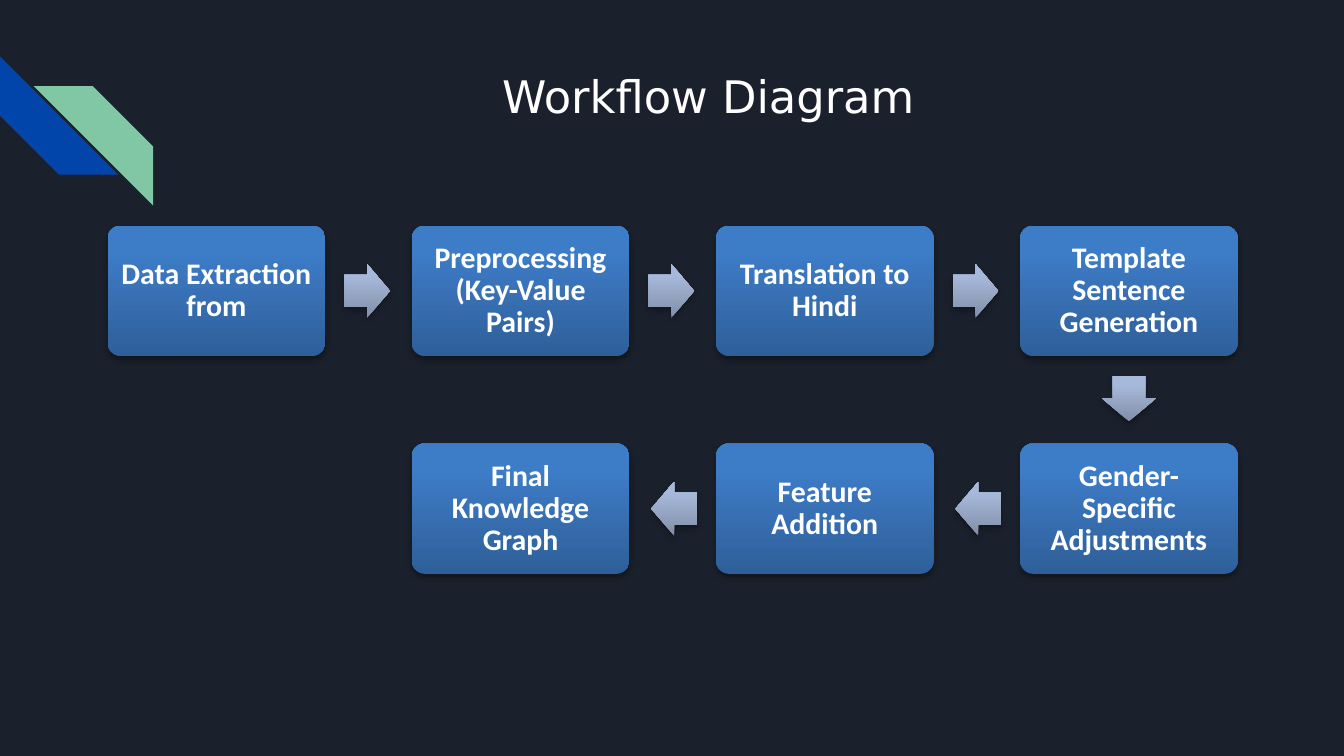
"""Build a dark slide with a seven-step workflow joined by block arrows."""
import math
from dataclasses import dataclass
from itertools import pairwise

from lxml import etree
from pptx import Presentation
from pptx import util as u
from pptx.dml.color import RGBColor
from pptx.enum import shapes, text
from pptx.oxml.ns import qn

COLORS = {
    "background": "1B212C",
    "blue": "0145AB",
    "green": "82C7A5",
    "white": "FFFFFF",
    "box_dark": "2F5F99",
    "box_light": "3D7CC7",
    "arrow_dark": "818FA8",
    "arrow_light": "A7B9DA",
    "shadow": "000000",
}
SLIDE_W = 10
SLIDE_H = SLIDE_W * 9 / 16
LEFT, TOP = 0.8, 1.68
PITCH_X, PITCH_Y = 6.79 / 3, 1.62
BOX_W, BOX_H = 1.62, 0.97
ARROW_W, ARROW_H = 0.34, 0.4
ARROW_SETBACK = 0.01


@dataclass(frozen=True)
class Step:
    label: str
    col: int
    row: int

    @property
    def center(self) -> tuple[float, float]:
        return (LEFT + self.col * PITCH_X + BOX_W / 2,
                TOP + self.row * PITCH_Y + BOX_H / 2)


@dataclass(frozen=True)
class Ribbon:
    color: str
    points: tuple[tuple[float, float], ...]


STEPS = [
    Step("Data Extraction from", 0, 0),
    Step("Preprocessing (Key-Value Pairs)", 1, 0),
    Step("Translation to Hindi", 2, 0),
    Step("Template Sentence Generation", 3, 0),
    Step("Gender-Specific Adjustments", 3, 1),
    Step("Feature Addition", 2, 1),
    Step("Final Knowledge Graph", 1, 1),
]
RIBBONS = [
    Ribbon("blue", ((0.88, 1.3), (0.44, 1.3), (0, 0.86), (0, 0.42))),
    Ribbon("green", ((1.14, 1.53), (0.25, 0.64), (0.69, 0.64), (1.14, 1.09))),
]


def rgb(name: str) -> RGBColor:
    return RGBColor.from_string(COLORS[name])


def write(sp, content: str, *, font: str, size: float, bold: bool = False,
          margins: tuple = (0, 0, 0, 0), anchor=text.MSO_ANCHOR.TOP,
          line_spacing: float = 1.0, before: float = 0) -> None:
    tf = sp.text_frame
    tf.word_wrap = True
    tf.vertical_anchor = anchor
    (tf.margin_left, tf.margin_top,
     tf.margin_right, tf.margin_bottom) = map(u.Inches, margins)
    p = tf.paragraphs[0]
    p.alignment = text.PP_ALIGN.CENTER
    p.line_spacing = line_spacing
    p.space_before = u.Pt(before)
    r = p.add_run()
    r.text = content
    r.font.name = font
    r.font.size = u.Pt(size)
    r.font.bold = bold
    r.font.color.rgb = rgb("white")


def add_shadow(sp) -> None:
    sp.shadow.inherit = False
    effects = sp._element.spPr.find(qn("a:effectLst"))
    shadow = etree.SubElement(effects, qn("a:outerShdw"), blurRad=str(u.Pt(3.1)),
                              dist=str(u.Pt(1.8)), dir="5400000", rotWithShape="0")
    color = etree.SubElement(shadow, qn("a:srgbClr"), val=COLORS["shadow"])
    etree.SubElement(color, qn("a:alpha"), val="35000")


def add_block(s, kind, center: tuple[float, float], width: float, height: float,
              palette: str, adjustments: tuple[float, ...], rotation: float = 0):
    x, y = center
    sp = s.shapes.add_shape(kind, u.Inches(x - width / 2), u.Inches(y - height / 2),
                            u.Inches(width), u.Inches(height))
    for i, value in enumerate(adjustments):
        sp.adjustments[i] = value
    sp.rotation = rotation
    sp.line.fill.background()
    sp.fill.gradient()
    sp.fill.gradient_angle = 90
    for stop, position, shade in zip(sp.fill.gradient_stops, (0, 0.8), ("dark", "light")):
        stop.position = position
        stop.color.rgb = rgb(f"{palette}_{shade}")
    sp._element.spPr.find(qn("a:gradFill")).set("rotWithShape", "0")
    add_shadow(sp)
    return sp


def add_step(s, step: Step) -> None:
    sp = add_block(s, shapes.MSO_SHAPE.ROUNDED_RECTANGLE, step.center,
                   BOX_W, BOX_H, "box", (0.1,))
    write(sp, step.label, font="Calibri", size=16, bold=True, margins=(0.07,) * 4,
          anchor=text.MSO_ANCHOR.MIDDLE, line_spacing=0.9)


def add_arrow(s, start: Step, end: Step) -> None:
    (x1, y1), (x2, y2) = start.center, end.center
    angle = math.atan2(y2 - y1, x2 - x1)
    center = ((x1 + x2) / 2 - ARROW_SETBACK * math.cos(angle),
              (y1 + y2) / 2 - ARROW_SETBACK * math.sin(angle))
    add_block(s, shapes.MSO_SHAPE.RIGHT_ARROW, center, ARROW_W, ARROW_H,
              "arrow", (0.6, 0.5), math.degrees(angle))


def add_ribbon(s, ribbon: Ribbon) -> None:
    points = [(u.Inches(x), u.Inches(y)) for x, y in ribbon.points]
    builder = s.shapes.build_freeform(*points[0])
    builder.add_line_segments(points[1:], close=True)
    sp = builder.convert_to_shape()
    sp.fill.solid()
    sp.fill.fore_color.rgb = rgb(ribbon.color)
    sp.line.fill.background()
    sp.shadow.inherit = False


def main() -> None:
    prs = Presentation()
    prs.slide_width, prs.slide_height = u.Inches(SLIDE_W), u.Inches(SLIDE_H)
    s = prs.slides.add_slide(prs.slide_layouts[5])
    s.background.fill.solid()
    s.background.fill.fore_color.rgb = rgb("background")
    for ribbon in RIBBONS:
        add_ribbon(s, ribbon)

    title = s.shapes.title
    title.left, title.top = u.Inches(1.84), u.Inches(0.5)
    title.width, title.height = u.Inches(6.86), u.Inches(0.43)
    write(title, "Workflow Diagram", font="DejaVu Sans", size=24,
          margins=(0, 0.01, 0, 0), before=1)
    title.text_frame.auto_size = text.MSO_AUTO_SIZE.SHAPE_TO_FIT_TEXT

    for step in STEPS:
        add_step(s, step)
    for start, end in pairwise(STEPS):
        add_arrow(s, start, end)
    prs.save("out.pptx")


if __name__ == "__main__":
    main()
